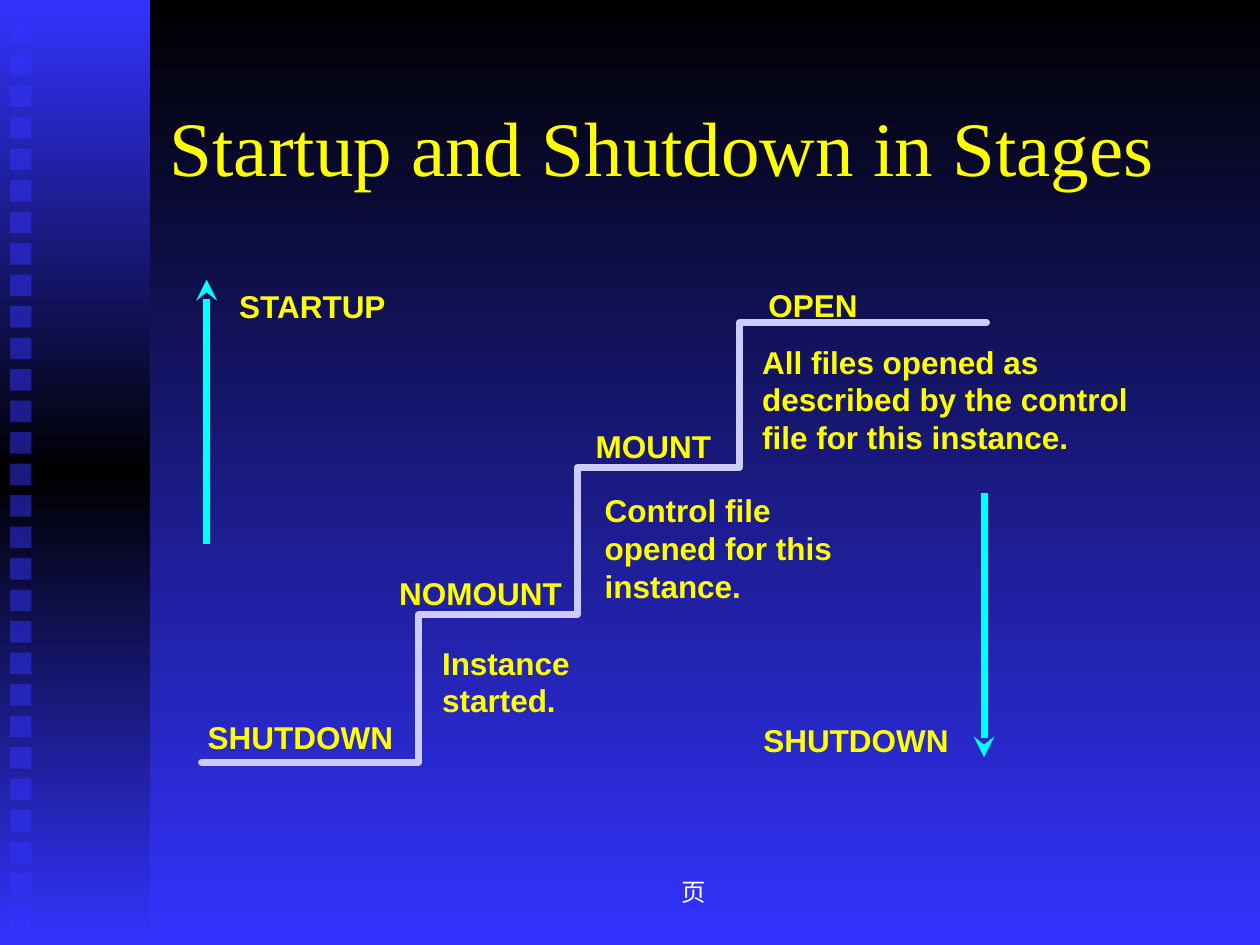
from lxml import etree
from pptx import Presentation
from pptx.dml.color import RGBColor
from pptx.enum.shapes import MSO_CONNECTOR, MSO_SHAPE
from pptx.enum.text import MSO_ANCHOR, PP_ALIGN
from pptx.oxml.ns import qn
from pptx.util import Inches, Pt

RECT, STRAIGHT = MSO_SHAPE.RECTANGLE, MSO_CONNECTOR.STRAIGHT
TOP, MIDDLE = MSO_ANCHOR.TOP, MSO_ANCHOR.MIDDLE
LEFT, CENTER = PP_ALIGN.LEFT, PP_ALIGN.CENTER

# The slide is a grid of 100 columns by 75 rows; lengths below are in cells.
SLIDE_W, SLIDE_H = Inches(10), Inches(7.5)
COL, ROW = SLIDE_W / 100, SLIDE_H / 75

BLACK, BLUE, YELLOW = "000000", "3333FF", "FFFF00"
LILAC, CYAN, WHITE = "CCCCFF", "00FFFF", "FFFFFF"
SANS, SERIF = "Arial", "Times New Roman"

# Step: left, level, label, label offset and width, note, note offset and size
STEPS = [
    (0, 34.9, "SHUTDOWN", (-0.5, -4, 24.9), None, None),
    (17.2, 23.2, "NOMOUNT", (-2.5, -3.7, 22.1),
     "Instance\vstarted.", (0.9, 1.8, 18.9, 7)),
    (29.8, 11.5, "MOUNT", (0.5, -3.7, 16.3),
     "Control file opened for this instance.", (1.2, 1.4, 20.5, 10)),
    (42.7, 0, "OPEN", (1.3, -3.4, 13),
     "All files opened as described by the control file for this instance.",
     (0.8, 1.1, 32.2, 10)),
]


def rgb(colour):
    return RGBColor.from_string(colour)


def cells(x, y):
    return round(x * COL), round(y * ROW)


def vertical_gradient(fill, owner, colours):
    """Spread the colours evenly from top to bottom."""
    fill.gradient()
    fill.gradient_angle = 270
    stops = owner.find(".//" + qn("a:gsLst"))
    for stop in list(stops):
        stops.remove(stop)
    for i, colour in enumerate(colours):
        position = str(round(100000 * i / (len(colours) - 1)))
        stop = etree.SubElement(stops, qn("a:gs"), pos=position)
        etree.SubElement(stop, qn("a:srgbClr"), val=colour)


def add_rect(slide, x, y, w, h):
    rect = slide.shapes.add_shape(RECT, *cells(x, y), *cells(w, h))
    rect.shadow.inherit = False
    rect.line.fill.background()
    return rect


def add_text(slide, box, text, size=18, font=SANS, colour=YELLOW, bold=True,
             align=LEFT, anchor=TOP, wrap=True):
    x, y, w, h = box
    frame = slide.shapes.add_textbox(*cells(x, y), *cells(w, h)).text_frame
    frame.word_wrap = wrap
    frame.vertical_anchor = anchor
    frame.text = text
    paragraph = frame.paragraphs[0]
    paragraph.alignment = align
    for run in paragraph.runs:
        run.font.name, run.font.size, run.font.bold = font, Pt(size), bold
        run.font.color.rgb = rgb(colour)
    return frame


def add_side_band(slide, box):
    x, y, w, h = box
    band = add_rect(slide, *box)
    vertical_gradient(band.fill, band.element, [BLUE, BLACK, BLUE])
    # Column of translucent squares
    for i in range(29):
        square = add_rect(slide, x + 0.8, y + 1.8 + 2.5 * i, 1.7, 1.7)
        square.fill.solid()
        square.fill.fore_color.rgb = rgb(BLUE)
        colour = square.element.spPr.find(".//" + qn("a:srgbClr"))
        etree.SubElement(colour, qn("a:alpha"), val="50000")


def add_title(slide, box, text):
    frame = add_text(slide, box, text, size=44, font=SERIF, bold=False)
    frame.margin_top = Inches(0.12)
    # Drop shadow behind the letters
    run = frame.paragraphs[0].runs[0]
    effects = etree.Element(qn("a:effectLst"))
    shadow = etree.SubElement(effects, qn("a:outerShdw"),
                              dist="35921", dir="2700000")
    etree.SubElement(shadow, qn("a:srgbClr"), val=BLACK)
    run.font.fill  # the colour element precedes the effects
    run.font.color.rgb = rgb(YELLOW)
    run._r.get_or_add_rPr().find(qn("a:solidFill")).addnext(effects)


def add_staircase(slide, box):
    left, top, width, _ = box
    # Each step runs to the start of the next one, then rises
    ends = [step[0] for step in STEPS[1:]] + [width]
    corners = []
    for (start, level, *_), end in zip(STEPS, ends):
        corners += [cells(left + start, top + level),
                    cells(left + end, top + level)]
    builder = slide.shapes.build_freeform(*corners[0])
    builder.add_line_segments(corners[1:], close=False)
    stairs = builder.convert_to_shape()
    stairs.shadow.inherit = False
    stairs.fill.background()
    stairs.line.color.rgb = rgb(LILAC)
    stairs.line.width = Pt(4)
    outline = stairs.line._get_or_add_ln()
    outline.set("cap", "rnd")
    etree.SubElement(outline, qn("a:round"))

    # Stage names above the steps, notes below them
    for start, level, label, (dx, dy, w), note, note_box in STEPS:
        x, y = left + start, top + level
        add_text(slide, (x + dx, y + dy, w, 4), label)
        if note:
            dx, dy, w, h = note_box
            add_text(slide, (x + dx, y + dy, w, h), note)


def add_direction(slide, x, start, end, caption, caption_box):
    arrow = slide.shapes.add_connector(STRAIGHT, *cells(x, start),
                                       *cells(x, end))
    arrow.line.color.rgb = rgb(CYAN)
    arrow.line.width = Pt(4)
    etree.SubElement(arrow.line._get_or_add_ln(), qn("a:tailEnd"),
                     type="stealth")
    etree.SubElement(arrow._element.spPr, qn("a:effectLst"))
    dx, y, w, h = caption_box
    add_text(slide, (x + dx, y, w, h), caption, wrap=False)


def main():
    deck = Presentation()
    deck.slide_width, deck.slide_height = SLIDE_W, SLIDE_H
    slide = deck.slides.add_slide(deck.slide_layouts[6])
    vertical_gradient(slide.background.fill, slide.element, [BLACK, BLUE])

    add_side_band(slide, (0, 0, 11.9, 75))
    add_staircase(slide, (16, 25.6, 62.3, 34.9))
    add_title(slide, (12.5, 6.7, 85, 12.5), "Startup and Shutdown in Stages")
    add_direction(slide, 16.4, 43.2, 22.2, "STARTUP", (1.6, 22.3, 13.8, 4))
    add_direction(slide, 78.1, 39.1, 60.1, "SHUTDOWN", (-18.5, 56.7, 16.7, 4))
    # Page footer
    add_text(slide, (39.2, 68.3, 31.7, 5), "页", size=14, font=SERIF,
             colour=WHITE, bold=False, align=CENTER, anchor=MIDDLE)

    deck.save("out.pptx")


if __name__ == "__main__":
    main()
